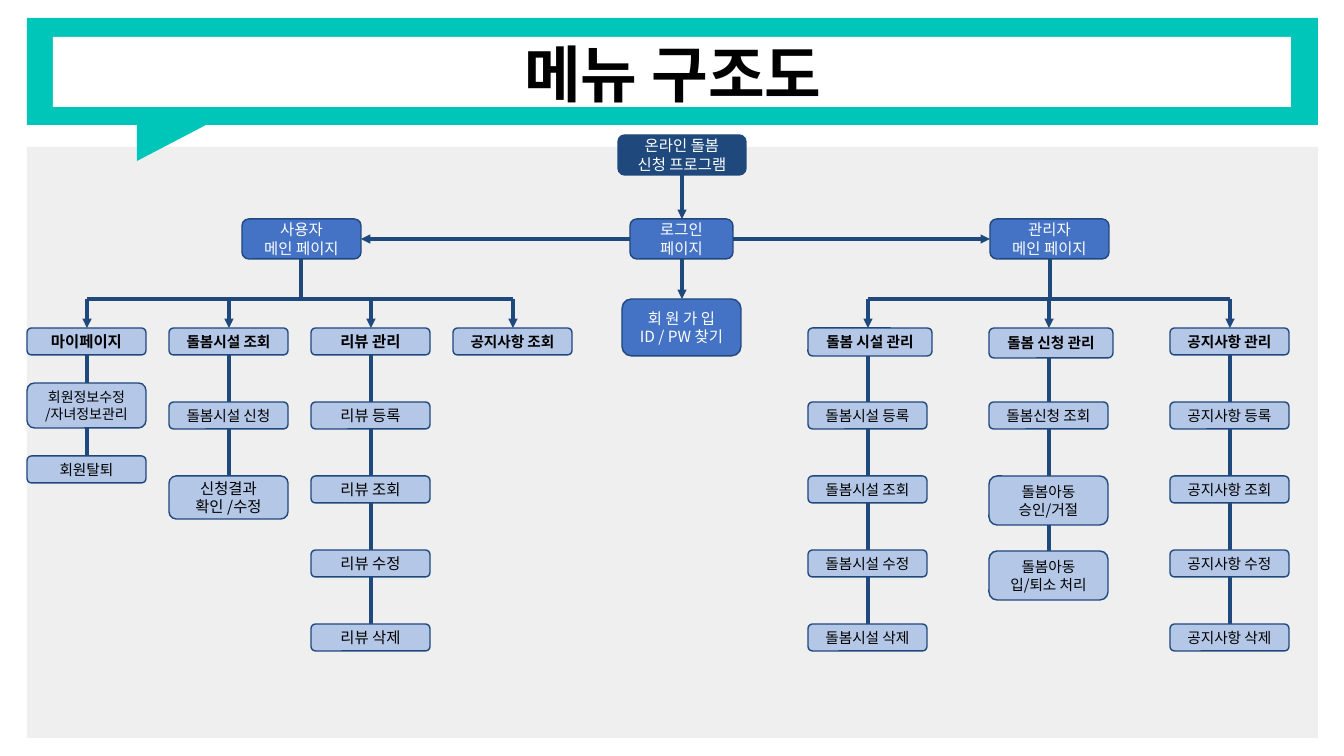
"""Build the menu structure slide of an online care application program."""
import dataclasses

import lxml.etree
import pptx
import pptx.dml.color
import pptx.enum.shapes
import pptx.enum.text
import pptx.oxml.ns
import pptx.util

SHAPE = pptx.enum.shapes.MSO_SHAPE
SCALE = 914400 / 100.8


@dataclasses.dataclass(frozen=True)
class Theme:
    font: str = "Noto Sans CJK KR"
    teal: str = "00C5B9"
    panel: str = "EFEFEF"
    white: str = "FFFFFF"
    black: str = "000000"
    navy: str = "1F497D"
    blue: str = "4472C4"
    pale: str = "B4C7E7"
    title: float = 44
    large: float = 11
    medium: float = 10.5
    small: float = 10
    outline: float = 1
    link: float = 2.25


def pixels(length):
    return pptx.util.Emu(round(length * SCALE))


def color(code):
    return pptx.dml.color.RGBColor.from_string(code)


def write(frame, text, *, font, size, ink, bold=False, spacing=None, margin=0):
    frame.word_wrap = True
    frame.auto_size = pptx.enum.text.MSO_AUTO_SIZE.NONE
    frame.vertical_anchor = pptx.enum.text.MSO_ANCHOR.MIDDLE
    frame.margin_left = frame.margin_right = pixels(margin)
    frame.margin_top = frame.margin_bottom = pixels(margin)
    frame.text = text
    for para in frame.paragraphs:
        para.alignment = pptx.enum.text.PP_ALIGN.CENTER
        para.line_spacing = spacing
        for span in para.runs:
            span.font.name = font
            span.font.size = pptx.util.Pt(size)
            span.font.bold = bold
            span.font.color.rgb = color(ink)
            east_asian = lxml.etree.SubElement(span.font._element, pptx.oxml.ns.qn("a:ea"))
            east_asian.set("typeface", font)


class Page:
    def __init__(self, deck, theme):
        self.theme = theme
        self.slide = deck.slides.add_slide(deck.slide_layouts[5])

    def shape(self, kind, left, top, width, height, fill, line=None, turn=0):
        shape = self.slide.shapes.add_shape(kind, *map(pixels, (left, top, width, height)))
        shape.shadow.inherit = False
        shape.rotation = turn
        shape.fill.solid()
        shape.fill.fore_color.rgb = color(fill)
        if line:
            shape.line.color.rgb = color(line)
            shape.line.width = pptx.util.Pt(self.theme.outline)
        else:
            shape.line.fill.background()
        return shape

    def title(self, text, left, top, width, height):
        title = self.slide.shapes.title
        title.left, title.top, title.width, title.height = map(pixels, (left, top, width, height))
        write(title.text_frame, text, font=self.theme.font, size=self.theme.title,
              ink=self.theme.black, bold=True, spacing=0.9, margin=10)
        title.element.getparent().append(title.element)

    def box(self, text, left, top, width, height, fill, ink, size, bold=False):
        box = self.shape(SHAPE.ROUNDED_RECTANGLE, left, top, width, height, fill, self.theme.navy)
        write(box.text_frame, text, font=self.theme.font, size=size, ink=ink, bold=bold)

    def link(self, start, end, arrow=False):
        link = self.slide.shapes.add_connector(
            pptx.enum.shapes.MSO_CONNECTOR.STRAIGHT, *map(pixels, (*start, *end)))
        link.line.color.rgb = color(self.theme.navy)
        link.line.width = pptx.util.Pt(self.theme.link)
        if arrow:
            tail = lxml.etree.SubElement(link.line._get_or_add_ln(), pptx.oxml.ns.qn("a:tailEnd"))
            tail.set("type", "triangle")
        lxml.etree.SubElement(link.element.spPr, pptx.oxml.ns.qn("a:effectLst"))

    def column(self, left, heading, items):
        text, width, height, size = heading
        center, bottom = left + BOX_WIDTH // 2 + 1, HEADING_TOP + height
        self.box(text, left, HEADING_TOP, width, height, self.theme.pale,
                 self.theme.black, size, bold=True)
        self.link((center, BUS_TOP), (center, HEADING_TOP), arrow=True)
        for text, top, height, size in items:
            self.link((center, bottom), (center, top))
            self.box(text, left, top, BOX_WIDTH, height, self.theme.pale, self.theme.black, size)
            bottom = top + height

    def branch(self, parent_center, first_left, step, columns):
        first = first_left + BOX_WIDTH // 2 + 1
        last = first + step * (len(columns) - 1)
        self.link((parent_center, PAGE_BOX_TOP + 40), (parent_center, BUS_TOP))
        self.link((first, BUS_TOP), (last, BUS_TOP))
        for index, (heading, items) in enumerate(columns):
            self.column(first_left + step * index, heading, items)


BOX_WIDTH, BOX_HEIGHT = 119, 27
PAGE_BOX_TOP, BUS_TOP, HEADING_TOP = 219, 299, 328
ITEM_TOP, ITEM_STEP = 402, 74


def rows(texts, size):
    return [(text, ITEM_TOP + ITEM_STEP * index, BOX_HEIGHT, size)
            for index, text in enumerate(texts)]


theme = Theme()
LARGE, MEDIUM, SMALL = theme.large, theme.medium, theme.small

USER_MENU = [
    (("마이페이지", BOX_WIDTH, BOX_HEIGHT, LARGE),
     [("회원정보수정\n/자녀정보관리", 383, 45, SMALL), ("회원탈퇴", 456, BOX_HEIGHT, MEDIUM)]),
    (("돌봄시설 조회", BOX_WIDTH, BOX_HEIGHT, MEDIUM),
     rows(["돌봄시설 신청"], MEDIUM) + [("신청결과\n확인 /수정", 476, 43, LARGE)]),
    (("리뷰 관리", BOX_WIDTH, BOX_HEIGHT, LARGE),
     rows(["리뷰 등록", "리뷰 조회", "리뷰 수정", "리뷰 삭제"], LARGE)),
    (("공지사항 조회", BOX_WIDTH, BOX_HEIGHT, MEDIUM), []),
]
MANAGER_MENU = [
    (("돌봄 시설 관리", 124, 28, MEDIUM),
     rows(["돌봄시설 등록", "돌봄시설 조회", "돌봄시설 수정", "돌봄시설 삭제"], MEDIUM)),
    (("돌봄 신청 관리", 124, 30, MEDIUM),
     rows(["돌봄신청 조회"], MEDIUM)
     + [("돌봄아동\n승인/거절", 476, 49, MEDIUM), ("돌봄아동\n입/퇴소 처리", 551, 49, MEDIUM)]),
    (("공지사항 관리", BOX_WIDTH, BOX_HEIGHT, MEDIUM),
     rows(["공지사항 등록", "공지사항 조회", "공지사항 수정", "공지사항 삭제"], MEDIUM)),
]
MAIN_BOXES = [
    ("온라인 돌봄\n신청 프로그램", 618, 135, 128, 40, theme.navy),
    ("사용자\n메인 페이지", 242, PAGE_BOX_TOP, BOX_WIDTH, 40, theme.blue),
    ("로그인\n페이지", 630, PAGE_BOX_TOP, 103, 40, theme.blue),
    ("관리자\n메인 페이지", 990, PAGE_BOX_TOP, BOX_WIDTH, 40, theme.blue),
    ("회 원 가 입\nID / PW 찾기", 622, 299, BOX_WIDTH, 57, theme.blue),
]
MAIN_ARROWS = [
    ((682, 175), (682, 219)),
    ((630, 239), (361, 239)),
    ((733, 239), (990, 239)),
    ((682, 259), (682, 299)),
]

deck = pptx.Presentation()
deck.slide_width, deck.slide_height = pixels(1344), pixels(756)
page = Page(deck, theme)
page.shape(SHAPE.RECTANGLE, 27, 147, 1291, 591, theme.panel)
page.shape(SHAPE.RECTANGLE, 27, 18, 1291, 107, theme.teal)
page.shape(SHAPE.RIGHT_TRIANGLE, 159, 91, 48, 92, theme.teal, turn=90)
page.shape(SHAPE.RECTANGLE, 53, 37, 1238, 70, theme.white)
page.title("메뉴 구조도", 260, 36, 826, 84)
for main_box in MAIN_BOXES:
    page.box(*main_box, theme.white, LARGE)
for start, end in MAIN_ARROWS:
    page.link(start, end, arrow=True)
page.branch(301, 27, 142, USER_MENU)
page.branch(1050, 808, 181, MANAGER_MENU)
deck.save("out.pptx")
